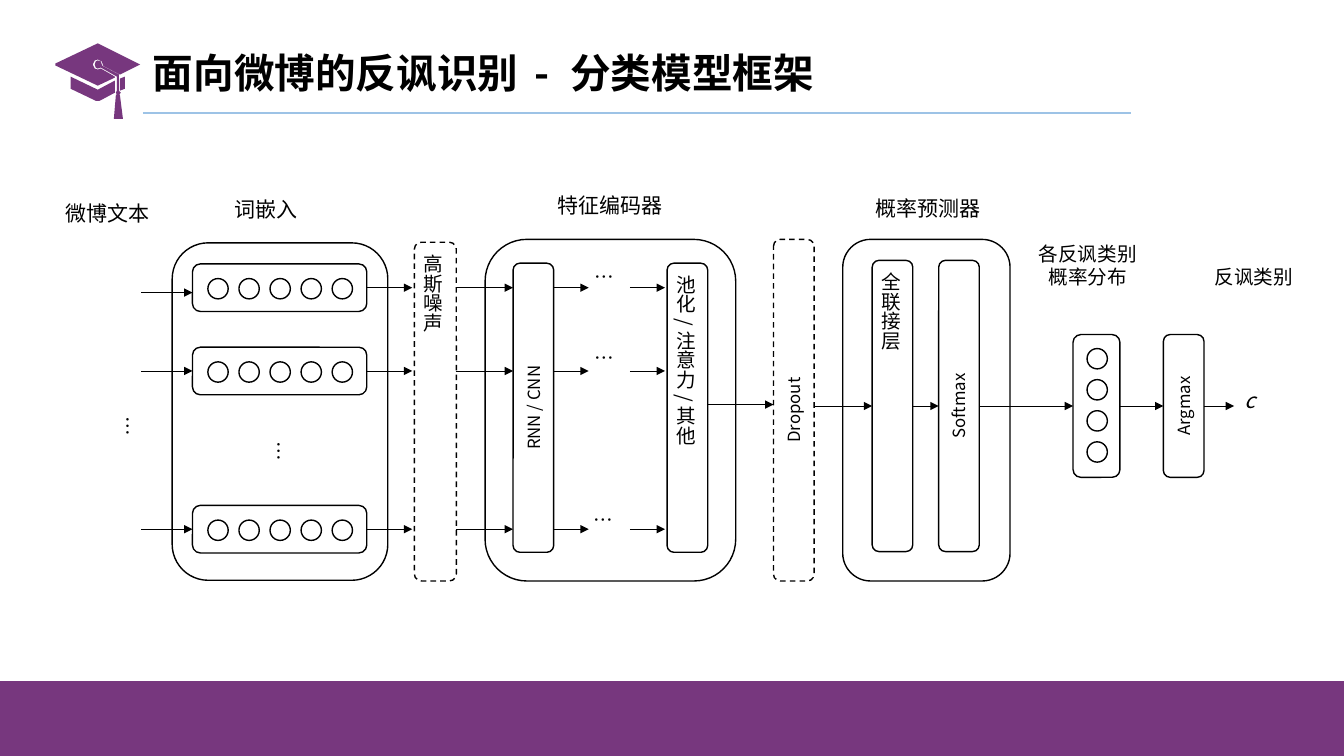
"""Build the slide on the classification model for irony in microblogs."""
from lxml import etree
from pptx import Presentation
from pptx.dml.color import RGBColor
from pptx.enum.dml import MSO_LINE
from pptx.enum.shapes import MSO_CONNECTOR, MSO_SHAPE
from pptx.enum.text import MSO_ANCHOR, MSO_AUTO_SIZE, PP_ALIGN
from pptx.oxml.ns import qn
from pptx.util import Pt

ROUND, OVAL, RECT = MSO_SHAPE.ROUNDED_RECTANGLE, MSO_SHAPE.OVAL, MSO_SHAPE.RECTANGLE
LINE, DASH = MSO_CONNECTOR.STRAIGHT, MSO_LINE.DASH
MIDDLE, BOTTOM = MSO_ANCHOR.MIDDLE, MSO_ANCHOR.BOTTOM
LEFT, CENTER = PP_ALIGN.LEFT, PP_ALIGN.CENTER
FIT, FIXED = MSO_AUTO_SIZE.SHAPE_TO_FIT_TEXT, MSO_AUTO_SIZE.NONE
FONT = "Noto Sans CJK SC"
BLACK, PURPLE, BLUE = "000000", "77377E", "9DC3E6"
ink = RGBColor.from_string


def style(frame, size, align=CENTER, bold=False, slant=False):
    """Format every run in a text frame."""
    for par in frame.paragraphs:
        par.alignment = align
        for run in par.runs:
            font = run.font
            font.size, font.name, font.bold, font.italic = Pt(size), FONT, bold, slant
            font.color.rgb = ink(BLACK)
            etree.SubElement(run._r.get_or_add_rPr(), qn("a:ea"), typeface=FONT)


def draw(kind, x, y, w, h):
    """Add an outlined shape without fill."""
    shape = shapes.add_shape(kind, Pt(x), Pt(y), Pt(w), Pt(h))
    shape.shadow.inherit = False
    shape.fill.background()
    shape.line.color.rgb = ink(BLACK)
    shape.line.width = Pt(1)
    return shape


deck = Presentation()
deck.slide_width, deck.slide_height = Pt(960), Pt(540)
slide = deck.slides.add_slide(deck.slide_layouts[5])
shapes = slide.shapes

title = shapes.title
title.left, title.top, title.width, title.height = Pt(102), Pt(26.5), Pt(645), Pt(54)
frame = title.text_frame
frame.auto_size, frame.vertical_anchor = FIXED, MIDDLE
head = frame.paragraphs[0]
head.line_spacing = 0.9
for part in ("面向微博的反讽识别", " - ", "分类模型框架"):
    head.add_run().text = part
style(frame, 29, LEFT, bold=True)
head.runs[1]._r.get_or_add_rPr().set("spc", "430")

cap = [
    [(119, 90), (124, 88), (124, 76), (119, 78)],
    [(70, 76), (70, 88), (95, 100), (99, 100), (114, 92), (114, 80), (97, 89)],
    [(118, 75), (118, 74), (101, 65), (101, 64), (100, 61), (97, 60), (95, 61),
     (94, 64), (95, 67), (97, 68), (100, 67), (116, 76)],
    [(139, 64), (97, 43), (55, 63), (55, 65), (97, 85), (114, 77), (114, 76),
     (100, 68), (97, 69), (94, 68), (92, 64), (94, 60), (97, 59), (101, 61),
     (102, 64), (102, 65), (119, 74)],
    [(118, 75), (118, 90), (120, 92), (118, 94), (119, 94), (122, 118), (113, 118),
     (115, 94), (116, 94), (115, 92), (116, 90), (116, 76)],
]
pen = shapes.build_freeform(*cap[0][0], scale=Pt(0.72))
pen.add_line_segments(cap[0][1:])
for path in cap[1:]:
    pen.move_to(*path[0])
    pen.add_line_segments(path[1:])
icon = pen.convert_to_shape()
foot = shapes.add_shape(RECT, 0, Pt(486.5), Pt(960), Pt(53.5))
for shape in (icon, foot):
    shape.shadow.inherit = False
    shape.fill.solid()
    shape.fill.fore_color.rgb = ink(PURPLE)
    shape.line.fill.background()

for frame_box in ((123, 173.5, 154, 241), (346.5, 171, 179, 244), (602, 171, 119.5, 244)):
    draw(ROUND, *frame_box)

blocks = {}
for text, x, y, w, h, size in (
    ("高斯噪声", 296, 173, 30, 242, 14),
    ("RNN / CNN", 366.5, 188, 29, 206.5, 12),
    ("池化 / 注意力 / 其他", 476.5, 188, 29, 206.5, 14),
    ("Dropout", 552.5, 171, 29, 244, 12),
    ("全联接层", 623, 186, 29, 208, 14),
    ("Softmax", 670.5, 186, 29, 208, 12),
    ("Argmax", 831, 239, 29, 102, 12),
):
    block = blocks[text] = draw(ROUND, x, y, w, h)
    frame = block.text_frame
    frame.text = text
    frame.vertical_anchor = BOTTOM if size == 14 else MIDDLE
    frame._txBody.bodyPr.set("vert", "eaVert" if size == 14 else "vert270")
    style(frame, size)
for text in ("高斯噪声", "Dropout"):
    blocks[text].line.dash_style = DASH
dense, soft, arg = (blocks[text] for text in ("全联接层", "Softmax", "Argmax"))

odds = draw(ROUND, 766.5, 239, 33.5, 102)
for i in range(4):
    draw(OVAL, 776.5, 249 + 22.2 * i, 14.5, 14.5)

links = [
    (505, 289, 552.5, 289, None, None),
    (582, 290, 623, 290, None, dense),
    (652, 290, 670.5, 290, dense, soft),
    (699.5, 290, 766.5, 290, soft, odds),
    (800, 290, 831, 290, odds, arg),
    (860, 290, 881.5, 290, arg, None),
]
for top, entry in ((188.5, 209), (248, 265), (361, 378)):
    row = draw(ROUND, 137.5, top, 124.5, 34)
    for i in range(5):
        draw(OVAL, 148.5 + 22.2 * i, top + 10.5, 14.5, 14.5)
    mid = top + 17
    links.append((101, entry, 137.5, entry, None, row if entry == mid else None))
    links.append((262, mid, 294.5, mid, row, None))
    for x, end in ((325.5, 366.5), (395.5, 420.5), (450, 475)):
        links.append((x, mid, end, mid, None, None))

rule = (102, 80.5, 808, 80.5, None, None)
for link in links + [rule]:
    x, y, end, low, first, last = link
    line = shapes.add_connector(LINE, Pt(x), Pt(y), Pt(end), Pt(low))
    if first:
        line.begin_connect(first, 3)
    if last:
        line.end_connect(last, 1)
    line.line.color.rgb = ink(BLUE if link is rule else BLACK)
    line.line.width = Pt(1.5 if link is rule else 0.5)
    if link is not rule:
        etree.SubElement(line.line._get_or_add_ln(), qn("a:tailEnd"), type="triangle")
    etree.SubElement(line._element.spPr, qn("a:effectLst"))

for text, x, y, w, h, size, turn in (
    ("微博文本", 39.5, 139.5, 75, 25, 15, 0),
    ("词嵌入", 160, 137, 60, 25, 15, 0),
    ("特征编码器", 350.5, 134, 170, 25, 15, 0),
    ("概率预测器", 578, 136, 170, 25, 15, 0),
    ("各反讽类别\n概率分布", 692, 169, 170, 41, 14, 0),
    ("反讽类别", 842.5, 186, 106, 24.5, 14, 0),
    ("c", 881.5, 273, 22.5, 25, 15, 0),
    ("…", 417.5, 186, 26, 24.5, 14, 0),
    ("…", 417.5, 243.5, 26, 24.5, 14, 0),
    ("…", 417, 359.5, 26, 24.5, 14, 0),
    ("…", 78.5, 291.5, 26, 24.5, 14, 90),
    ("…", 186.5, 309, 26, 24.5, 14, 90),
):
    label = shapes.add_textbox(Pt(x), Pt(y), Pt(w), Pt(h))
    label.rotation = turn
    frame = label.text_frame
    frame.text = text
    frame.word_wrap, frame.auto_size = w > 100, FIT
    style(frame, size, slant=text == "c")

deck.save("out.pptx")
